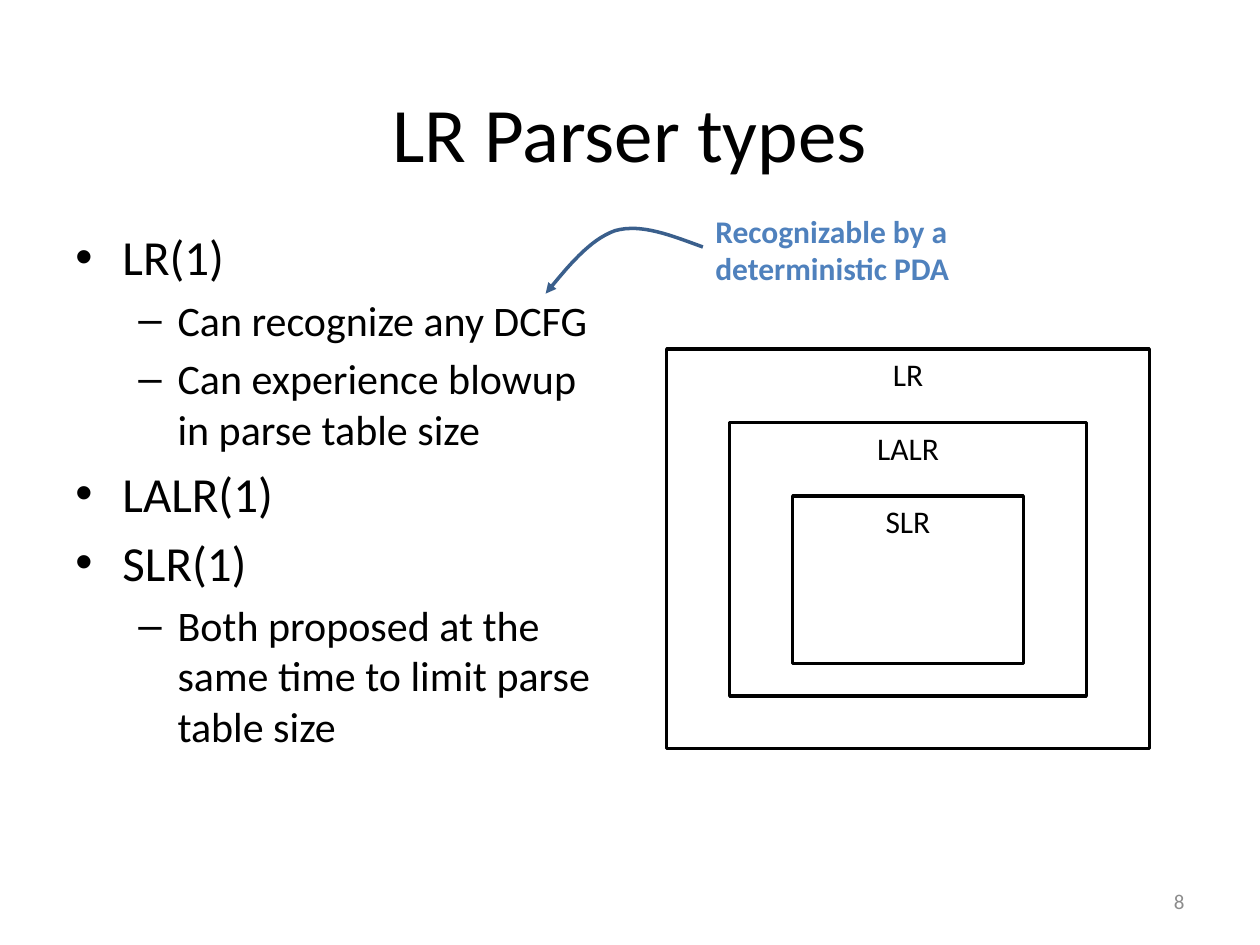
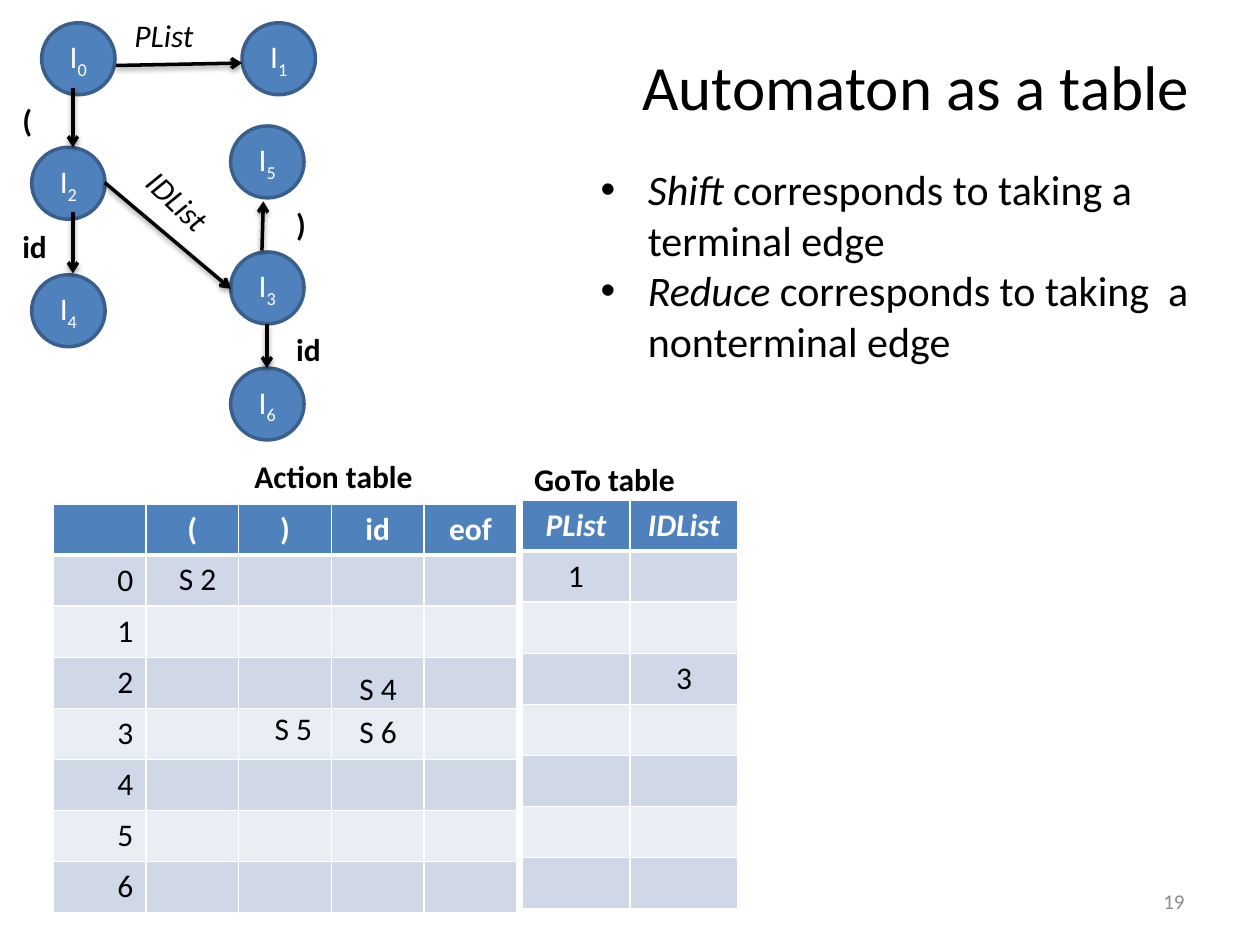
import pptx
import pptx.chart.data
import pptx.dml.color
import pptx.enum.shapes
import pptx.enum.text
import pptx.oxml
import pptx.oxml.ns
import pptx.util

Cm, Pt = pptx.util.Cm, pptx.util.Pt
KIND = pptx.enum.shapes.MSO_SHAPE
ALIGN = {"l": pptx.enum.text.PP_ALIGN.LEFT,
         "c": pptx.enum.text.PP_ALIGN.CENTER,
         "r": pptx.enum.text.PP_ALIGN.RIGHT}
ANCHOR = {"t": pptx.enum.text.MSO_ANCHOR.TOP,
          "m": pptx.enum.text.MSO_ANCHOR.MIDDLE}

# Shared look
FONT = "Calibri"
BLACK, WHITE, GREY = "000000", "FFFFFF", "8C8C8C"
BLUE, NAVY = "4F81BD", "3A5F8C"
BANDS = ("D0D8E8", "E9EDF4")
NUMBER = (18.21, 17.65, 5.92, 1.02)
LINE_H = 1.02

# Parser types: level, text
POINTS = [
    (0, "LR(1)"),
    (1, "Can recognize any DCFG"),
    (1, "Can experience blowup in parse table size"),
    (0, "LALR(1)"),
    (0, "SLR(1)"),
    (1, "Both proposed at the same time to limit parse table size"),
]
LEVELS = [dict(size=28, bullet="•", indent=0.95, hang=0.95, before=5.6),
          dict(size=24, bullet="–", indent=2.06, hang=0.79, before=4.8)]
CLASSES = [("LR", 8.05), ("LALR", 5.51), ("SLR", 3.38)]
REMARK = ["Recognizable by a", "deterministic PDA"]
CURVE = [[(14.17, 4.98), (13.54, 4.75), (12.93, 4.5), (12.4, 4.65)],
         [(12.4, 4.65), (11.89, 4.83), (11.46, 5.36), (11, 5.92)]]

# Automaton
STATES = {0: (0.84, 0.46), 1: (4.88, 0.46), 2: (0.64, 2.97), 4: (0.64, 5.54),
          3: (4.65, 5.08), 6: (4.65, 7.42), 5: (4.65, 2.54)}
# start, end, label, label left, top and width, turn
EDGES = [
    ((2.34, 1.32), (4.88, 1.27), "PList", 2.46, 0.2, 1.73, 0),
    ((1.47, 1.78), (1.47, 2.97), "(", 0.2, 1.91, 0.71, 0),
    ((1.47, 4.27), (1.47, 5.51), "id", 0.2, 4.45, 1.02, 0),
    ((2.11, 3.68), (4.65, 5.82), "IDList", 2.62, 3.56, 1.96, 43.7),
    ((5.28, 5.05), (5.31, 4.06), ")", 5.72, 4.01, 0.71, 0),
    ((5.38, 6.53), (5.38, 7.42), "id", 5.72, 6.53, 1.02, 0),
]
RULES = [
    [("Shift ", dict(italic=True)), ("corresponds to taking a terminal edge", {})],
    [("Reduce", dict(italic=True)),
     (" corresponds to taking  a nonterminal edge", {})],
]
ACTION = [["", "(", ")", "id", "eof"]] + [[str(n)] + [""] * 4 for n in range(7)]
GOTO = [["PList", "IDList"], ["1", ""], ["", ""], ["", "3"]] + [["", ""]] * 3
GOTO.append(["", ""])
SHIFTS = [("S 2", 3.35, 11.15), ("S 4", 6.99, 13.36),
          ("S 6", 6.99, 14.22), ("S 5", 5.28, 14.17)]
HEADS = [("Action table", 4.88, 9.09, 3.73), ("GoTo table", 10.52, 9.14, 3.38)]


def rgb(code):
    return pptx.dml.color.RGBColor.from_string(code)


def xml(body):
    space = pptx.oxml.ns.nsdecls("a")
    return pptx.oxml.parse_xml(body.replace(">", f" {space}>", 1)
                               if "/>" not in body.split(">")[0] + ">"
                               else body.replace("/>", f" {space}/>", 1))


def write(frame, paras, size=18, color=BLACK, bold=False, italic=False,
          align="l", anchor="t", wrap=True, bullet="", indent=0, hang=0, before=0):
    """Add paragraphs; each is a string or a list of (text, format) runs."""
    frame.word_wrap = wrap
    frame.vertical_anchor = ANCHOR[anchor]
    for item in [paras] if isinstance(paras, str) else paras:
        para = frame.paragraphs[0]
        if para.runs:
            para = frame.add_paragraph()
        para.alignment = ALIGN[align]
        para.space_before = Pt(before)
        if bullet:
            props = para._p.get_or_add_pPr()
            props.set("marL", str(Cm(indent)))
            props.set("indent", str(-Cm(hang)))
            props.append(xml('<a:buFont typeface="Arial"/>'))
            props.append(xml(f'<a:buChar char="{bullet}"/>'))
        for text, own in [(item, {})] if isinstance(item, str) else item:
            run = para.add_run()
            run.text = text
            font = run.font
            font.name, font.size = FONT, Pt(size)
            font.bold = bold
            font.italic = own.get("italic", italic)
            font.color.rgb = rgb(color)
            if "base" in own:
                run._r.get_or_add_rPr().set("baseline", str(own["base"] * 1000))


def label(slide, box, paras, **form):
    shape = slide.shapes.add_textbox(*map(Cm, box))
    write(shape.text_frame, paras, **form)
    return shape


def block(slide, kind, box, fill, edge):
    shape = slide.shapes.add_shape(kind, *map(Cm, box))
    shape.shadow.inherit = False
    shape.fill.solid()
    shape.fill.fore_color.rgb = rgb(fill)
    stroke(shape, edge)
    return shape


def stroke(shape, color, head=""):
    shape.line.color.rgb = rgb(color)
    shape.line.width = Pt(2)
    if head:
        shape.line._get_or_add_ln().append(xml(f'<a:tailEnd type="{head}"/>'))


def arrow(slide, start, end):
    line = slide.shapes.add_connector(
        pptx.enum.shapes.MSO_CONNECTOR.STRAIGHT, *map(Cm, start + end))
    stroke(line, BLACK, "arrow")
    line._element.spPr.append(xml(
        '<a:effectLst><a:outerShdw blurRad="40000" dist="20000" dir="5400000" '
        f'rotWithShape="0"><a:srgbClr val="{BLACK}"><a:alpha val="38000"/>'
        '</a:srgbClr></a:outerShdw></a:effectLst>'))


def bezier(ends, t):
    weights = ((1 - t) ** 3, 3 * t * (1 - t) ** 2, 3 * t * t * (1 - t), t ** 3)
    return tuple(Cm(sum(w * p[axis] for w, p in zip(weights, ends)))
                 for axis in (0, 1))


def swoop(slide, parts, steps=16):
    """Draw joined Bezier curves as one open arrow."""
    dots = [bezier(part, n / steps) for part in parts for n in range(1, steps + 1)]
    pen = slide.shapes.build_freeform(*bezier(parts[0], 0))
    pen.add_line_segments(dots, close=False)
    shape = pen.convert_to_shape()
    shape.shadow.inherit = False
    shape.fill.background()
    stroke(shape, NAVY, "triangle")


def border(cell, row):
    widths = dict(L=1, R=1, T=3 if row == 1 else 1, B=3 if row == 0 else 1)
    props = cell._tc.get_or_add_tcPr()
    for spot, (side, width) in enumerate(widths.items()):
        props.insert(spot, xml(
            f'<a:ln{side} w="{Pt(width)}"><a:solidFill><a:srgbClr val="{WHITE}"/>'
            f'</a:solidFill></a:ln{side}>'))


def grid(slide, left, top, wide, rows, slant=False, index=False):
    """Draw a banded table; index right-aligns the first column."""
    high, count = 1.03, len(rows[0])
    table = slide.shapes.add_table(
        len(rows), count, Cm(left), Cm(top),
        Cm(wide * count), Cm(high * len(rows))).table
    for col in table.columns:
        col.width = Cm(wide)
    for r, texts in enumerate(rows):
        table.rows[r].height = Cm(high)
        head = r == 0
        for c, text in enumerate(texts):
            cell = table.cell(r, c)
            cell.fill.solid()
            cell.fill.fore_color.rgb = rgb(BLUE if head else BANDS[(r - 1) % 2])
            border(cell, r)
            if text:
                write(cell.text_frame, text, bold=head, italic=head and slant,
                      color=WHITE if head else BLACK,
                      align="r" if index and c == 0 else "c")


def page(deck, number):
    slide = deck.slides.add_slide(deck.slide_layouts[6])
    label(slide, NUMBER, number, size=12, color=GREY, align="r", anchor="m")
    return slide


def types(deck):
    slide = page(deck, "8")
    label(slide, (1.27, 1.07, 22.86, 3.18), "LR Parser types",
          size=44, align="c", anchor="m")
    body = slide.shapes.add_textbox(Cm(1.27), Cm(4.45), Cm(11.23), Cm(12.57))
    for level, text in POINTS:
        write(body.text_frame, text, **LEVELS[level]) if not body.text_frame.text \
            else more(body.text_frame, text, LEVELS[level])
    for n, (name, high) in enumerate(CLASSES):
        box = (13.44 + 1.27 * n, 7.04 + 1.48 * n, 9.73 - 2.54 * n, high)
        shape = block(slide, KIND.RECTANGLE, box, WHITE, BLACK)
        write(shape.text_frame, name, align="c")
    swoop(slide, CURVE)
    label(slide, (14.17, 4.14, 5.26, 1.8), REMARK, color=BLUE, bold=True, wrap=False)


def more(frame, text, form):
    """Write one further paragraph in its own format."""
    class Tail:
        paragraphs = [frame.add_paragraph()]
    write(Tail, text, **form)


def automaton(deck):
    slide = page(deck, "19")
    for state, spot in STATES.items():
        shape = block(slide, KIND.OVAL, spot + (1.48, 1.45), BLUE, NAVY)
        write(shape.text_frame, [[("I", {}), (str(state), dict(base=-25))]],
              color=WHITE, align="c", anchor="m")
    for start, end, name, left, top, wide, turn in EDGES:
        arrow(slide, start, end)
        rule = name.endswith("List")
        label(slide, (left, top, wide, LINE_H), name, bold=not rule,
              italic=rule, wrap=False).rotation = turn
    label(slide, (12.7, 0.84, 11.63, 1.8), "Automaton as a table",
          size=36, wrap=False)
    label(slide, (10.59, 3.18, 14.4, 4.37), RULES, size=24,
          bullet="•", indent=2.22, hang=0.95)
    grid(slide, 1.07, 10.16, 1.87, ACTION, index=True)
    grid(slide, 10.52, 10.08, 2.18, GOTO, slant=True)
    for text, left, top in SHIFTS:
        label(slide, (left, top, 1.27, LINE_H), text, align="c", wrap=False)
    for text, left, top, wide in HEADS:
        label(slide, (left, top, wide, LINE_H), text, bold=True, wrap=False)


def main():
    deck = pptx.Presentation()
    deck.slide_width, deck.slide_height = Cm(25.4), Cm(19.05)
    types(deck)
    automaton(deck)
    deck.save("out.pptx")


if __name__ == "__main__":
    main()
